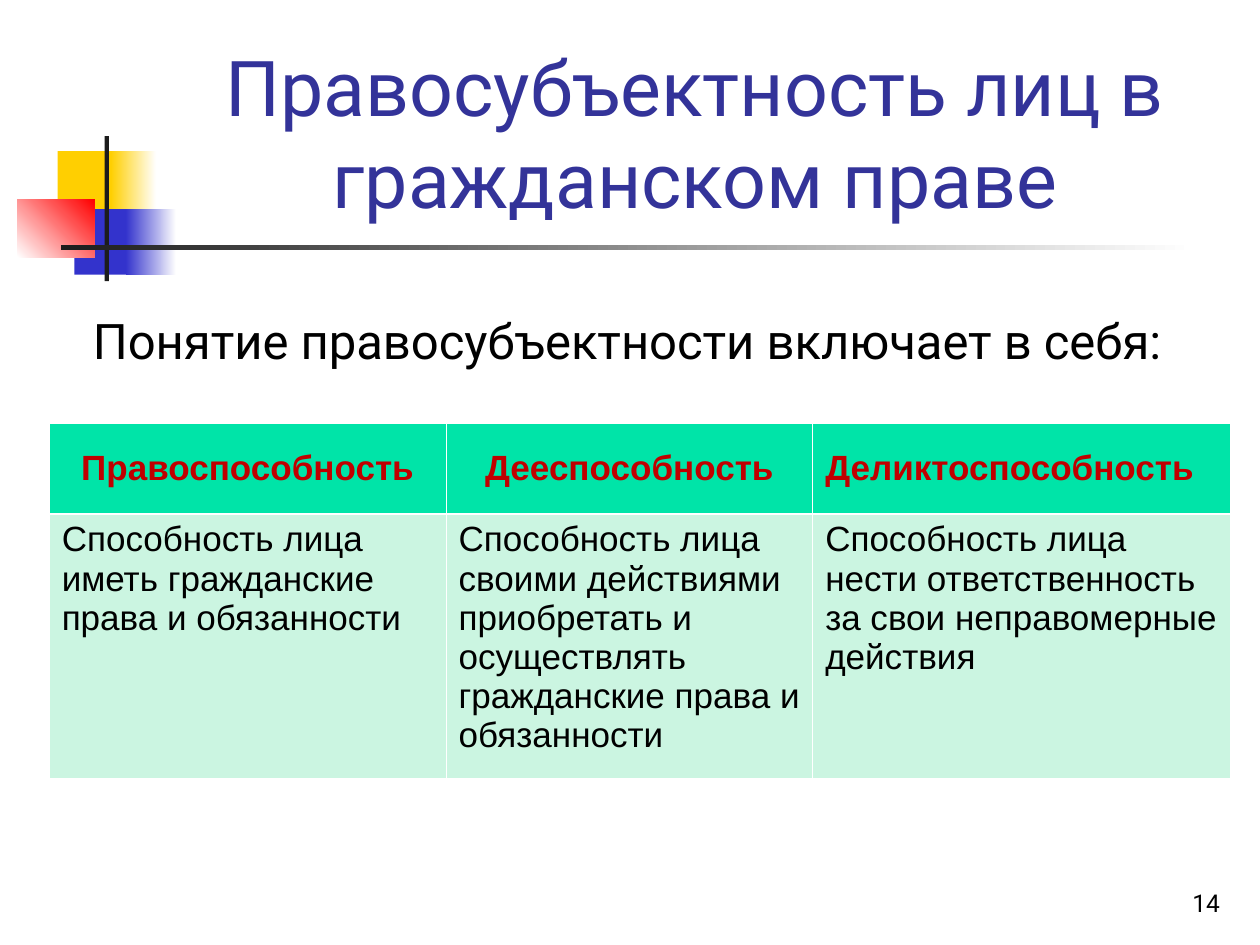
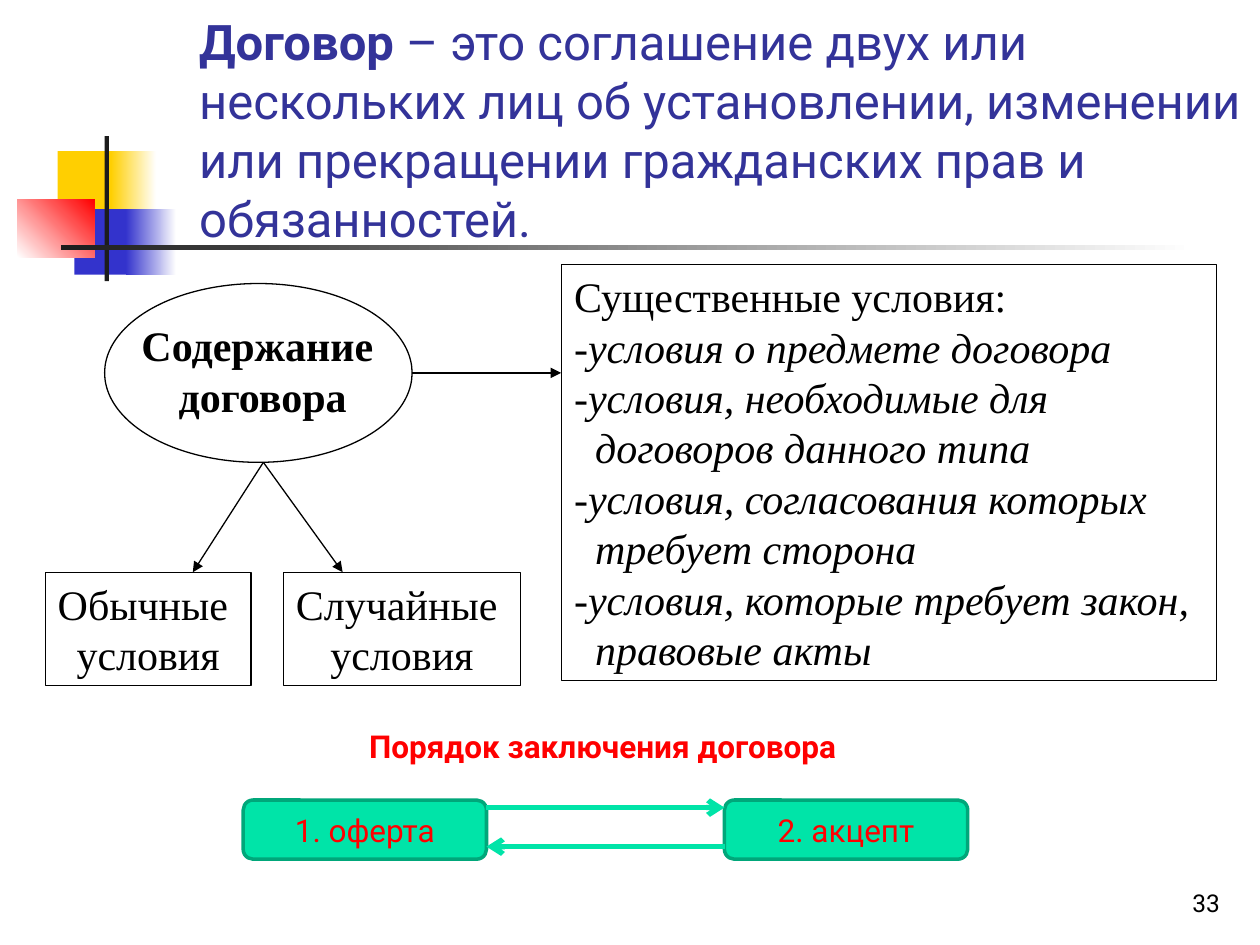
from dataclasses import dataclass

from lxml import etree
from pptx import Presentation
from pptx.dml.color import RGBColor
from pptx.enum import shapes, text
from pptx.oxml import ns
from pptx.util import Pt


@dataclass(frozen=True)
class Theme:
    sans: str = "Roboto"
    serif: str = "Times New Roman"
    table_font: str = "Arial"
    title: str = "333399"
    ink: str = "000000"
    white: str = "FFFFFF"
    dark: str = "1C1C1C"
    yellow: str = "FFCF01"
    blue: str = "3333CC"
    red: str = "FF0000"
    header_text: str = "C00000"
    green: str = "00E4A8"
    green_edge: str = "00A77A"
    mint: str = "CBF5E1"
    title_size: int = 44
    lead_size: int = 28
    diagram_size: int = 24
    table_size: int = 20
    step_size: int = 18
    number_size: int = 14


THEME = Theme()
SHAPE = shapes.MSO_SHAPE
ALIGN = text.PP_ALIGN
ANCHOR = text.MSO_ANCHOR

# Bands shared by all slides: place, start colour, end colour, angle
BANDS = [
    ((33, 86.4, 34.6, 37.4), THEME.yellow, None, 0),
    ((63.4, 86.4, 25.9, 37.4), THEME.yellow, THEME.white, 0),
    ((42.5, 119.5, 33, 37.4), THEME.blue, None, 0),
    ((72, 119.5, 28.8, 37.4), THEME.blue, THEME.white, 0),
    ((10, 113.8, 44, 33.2), THEME.white, THEME.red, 45),
    ((59.8, 77.8, 2.5, 82.8), THEME.dark, None, 0),
    ((34.6, 140.2, 648, 2.5), THEME.dark, THEME.white, 0),
]
NUMBER_PLACE = (554.4, 491.8, 149.8, 36)

CAPACITY_TITLE = "Правосубъектность лиц в гражданском праве"
CAPACITY_LEAD = "Понятие правосубъектности включает в себя:"
CAPACITY_TABLE = [  # width, heading, heading alignment, meaning
    (226.8, "Правоспособность", ALIGN.CENTER,
     "Способность лица иметь гражданские права и обязанности"),
    (209.5, "Дееспособность", ALIGN.CENTER,
     "Способность лица своими действиями приобретать и осуществлять "
     "гражданские права и обязанности"),
    (238.5, "Деликтоспособность", ALIGN.LEFT,
     "Способность лица нести ответственность за свои неправомерные действия"),
]
ROW_HEIGHTS = (51.8, 151.2)

CONTRACT_TERM = "Договор"
CONTRACT_MEANING = (" – это соглашение двух или нескольких лиц об установлении, "
                    "изменении или прекращении гражданских прав и обязанностей.")
CONTENT_LABEL = ["Содержание ", "договора"]
ESSENTIAL_HEADING = "Существенные условия:"
ESSENTIAL_TERMS = [
    ["-условия о предмете договора"],
    ["-условия, необходимые для", "договоров данного типа"],
    ["-условия, согласования которых", "требует сторона"],
    ["-условия, которые требует закон,", "правовые акты"],
]
OTHER_TERMS = [
    (["Обычные ", "условия"], (26, 327, 117.4, 64.8)),
    (["Случайные ", "условия"], (162, 327, 135.4, 64.8)),
]
ORDER_HEADING = "Порядок заключения договора"
STEPS = ["1. оферта", "2. акцепт"]
STEP_LEFT, STEP_TOP, STEP_WIDTH, STEP_HEIGHT, STEP_PITCH = 139, 457.2, 139, 33.8, 275


def rgb(value):
    return RGBColor.from_string(value)


def points(values):
    return [Pt(value) for value in values]


def add_span(para, words, size, color, font=THEME.sans, bold=False, italic=False):
    span = para.add_run()
    span.text = words
    span.font.name = font
    span.font.size = Pt(size)
    span.font.color.rgb = rgb(color)
    span.font.bold = bold
    span.font.italic = italic


def add_paras(frame, lines, align=ALIGN.LEFT, **style):
    for index, line in enumerate(lines):
        para = frame.add_paragraph() if index else frame.paragraphs[0]
        para.alignment = align
        add_span(para, line, **style)


def add_text(page, place, lines, wrap=False, anchor=ANCHOR.TOP, **style):
    box = page.shapes.add_textbox(*points(place))
    box.text_frame.word_wrap = wrap
    box.text_frame.vertical_anchor = anchor
    add_paras(box.text_frame, lines, **style)


def add_panel(page, kind, place, fill=None, line=None, width=0.75):
    panel = page.shapes.add_shape(kind, *points(place))
    panel.shadow.inherit = False
    if fill:
        panel.fill.solid()
        panel.fill.fore_color.rgb = rgb(fill)
    else:
        panel.fill.background()
    if line:
        panel.line.color.rgb = rgb(line)
        panel.line.width = Pt(width)
    else:
        panel.line.fill.background()
    panel.text_frame.word_wrap = False
    panel.text_frame.vertical_anchor = ANCHOR.TOP
    return panel


def add_arrow(page, start, end, color=THEME.ink, width=0.75, head="triangle"):
    arrow = page.shapes.add_connector(
        shapes.MSO_CONNECTOR.STRAIGHT, *points(start + end))
    arrow.line.color.rgb = rgb(color)
    arrow.line.width = Pt(width)
    etree.SubElement(arrow.line._get_or_add_ln(), ns.qn("a:tailEnd"), type=head)
    etree.SubElement(arrow.element.spPr, ns.qn("a:effectLst"))


def move_bands_to_layout(page, layout):
    """Draw the bands on a page, then hand them to its layout."""
    for place, start, end, angle in BANDS:
        band = add_panel(page, SHAPE.RECTANGLE, place, fill=start)
        if end:
            band.fill.gradient()
            band.fill.gradient_angle = angle
            for stop, color in zip(band.fill.gradient_stops, (start, end)):
                stop.color.rgb = rgb(color)
        layout.shapes.element.append(band.element)


def set_title(page, place, spans, size, align=ALIGN.LEFT):
    title = page.shapes.title
    title.left, title.top, title.width, title.height = points(place)
    frame = title.text_frame
    frame.word_wrap = True
    frame.auto_size = text.MSO_AUTO_SIZE.NONE
    frame.vertical_anchor = ANCHOR.BOTTOM
    frame.paragraphs[0].alignment = align
    for words, bold in spans:
        add_span(frame.paragraphs[0], words, size, THEME.title, bold=bold)


def add_number(page, number):
    add_text(page, NUMBER_PLACE, [str(number)], wrap=True, anchor=ANCHOR.BOTTOM,
             align=ALIGN.RIGHT, size=THEME.number_size, color=THEME.ink)


def set_borders(cell, widths):
    """Give a cell white borders; widths maps side letters to points."""
    props = cell._tc.get_or_add_tcPr()
    for side in "LRTB":
        line = etree.SubElement(props, ns.qn(f"a:ln{side}"), w=str(int(Pt(widths[side]))))
        fill = etree.SubElement(line, ns.qn("a:solidFill"))
        etree.SubElement(fill, ns.qn("a:srgbClr"), val=THEME.white)


def fill_cell(cell, words, fill, rule_side, anchor, **style):
    set_borders(cell, dict.fromkeys("LRTB", 0.45) | {rule_side: 1.47})
    cell.fill.solid()
    cell.fill.fore_color.rgb = rgb(fill)
    cell.vertical_anchor = anchor
    add_paras(cell.text_frame, [words], size=THEME.table_size,
              font=THEME.table_font, **style)


def build_capacity_slide(page):
    set_title(page, (90.7, 16.6, 613.4, 115.2), [(CAPACITY_TITLE, False)],
              THEME.title_size, ALIGN.CENTER)
    total = sum(column[0] for column in CAPACITY_TABLE)
    table = page.shapes.add_table(
        2, len(CAPACITY_TABLE),
        *points((28.1, 241.9, total, sum(ROW_HEIGHTS)))).table
    table.first_row = table.horz_banding = False
    for row, height in zip(table.rows, ROW_HEIGHTS):
        row.height = Pt(height)
    for index, (width, heading, align, meaning) in enumerate(CAPACITY_TABLE):
        table.columns[index].width = Pt(width)
        fill_cell(table.cell(0, index), heading, THEME.green, "B", ANCHOR.MIDDLE,
                  align=align, color=THEME.header_text, bold=True)
        fill_cell(table.cell(1, index), meaning, THEME.mint, "T", ANCHOR.TOP,
                  color=THEME.ink)
    add_number(page, 14)
    add_text(page, (46, 174.2, 649.4, 41), [CAPACITY_LEAD],
             size=THEME.lead_size, color=THEME.ink)


def add_essential_terms(page, style):
    panel = add_panel(page, SHAPE.RECTANGLE, (321, 151.2, 374.4, 237.6), line=THEME.ink)
    frame = panel.text_frame
    add_paras(frame, [ESSENTIAL_HEADING], **style)
    for term in ESSENTIAL_TERMS:
        para = frame.add_paragraph()
        para.alignment = ALIGN.LEFT
        props = para._p.get_or_add_pPr()
        props.set("marL", str(int(Pt(12))))
        props.set("indent", str(int(Pt(-12))))
        for index, line in enumerate(term):
            if index:
                para.add_line_break()
            add_span(para, line, italic=True, **style)


def add_steps(page):
    add_text(page, (203.8, 411.8, 309.6, 28.8), [ORDER_HEADING],
             size=THEME.step_size, color=THEME.red, bold=True)
    for index, step in enumerate(STEPS):
        place = (STEP_LEFT + index * STEP_PITCH, STEP_TOP, STEP_WIDTH, STEP_HEIGHT)
        panel = add_panel(page, SHAPE.ROUNDED_RECTANGLE, place,
                          THEME.green, THEME.green_edge, 2)
        panel.text_frame.word_wrap = True
        panel.text_frame.vertical_anchor = ANCHOR.MIDDLE
        add_paras(panel.text_frame, [step], ALIGN.CENTER,
                  size=THEME.step_size, color=THEME.red)
    offer_edge, acceptance_edge = STEP_LEFT + STEP_WIDTH, STEP_LEFT + STEP_PITCH
    for start, end, y in ((offer_edge, acceptance_edge, 461.5),
                          (acceptance_edge, offer_edge, 483.8)):
        add_arrow(page, (start, y), (end, y), THEME.green, 3, "arrow")


def build_contract_slide(page):
    serif = dict(size=THEME.diagram_size, color=THEME.ink, font=THEME.serif)
    add_number(page, 33)
    set_title(page, (106.6, 9.4, 613.4, 135.4),
              [(CONTRACT_TERM, True), (CONTRACT_MEANING, False)], THEME.lead_size)
    add_essential_terms(page, serif)
    for lines, place in OTHER_TERMS:
        panel = add_panel(page, SHAPE.RECTANGLE, place, line=THEME.ink)
        add_paras(panel.text_frame, lines, ALIGN.CENTER, **serif)
    add_arrow(page, (235.5, 213.1), (320.6, 213.1))
    for end_x in (110.2, 195.8):
        add_arrow(page, (150.5, 264.2), (end_x, 327))
    add_panel(page, SHAPE.OVAL, (59.8, 162, 175.7, 102.2), line=THEME.ink)
    add_text(page, (73.4, 179.3, 153.4, 64.8), CONTENT_LABEL,
             align=ALIGN.CENTER, bold=True, **serif)
    add_steps(page)


def main():
    deck = Presentation()
    deck.slide_width, deck.slide_height = points((720, 540))
    layout = deck.slide_layouts.get_by_name("Title Only")
    capacity_page, contract_page = (deck.slides.add_slide(layout) for _ in range(2))
    move_bands_to_layout(capacity_page, layout)
    build_capacity_slide(capacity_page)
    build_contract_slide(contract_page)
    deck.save("out.pptx")


if __name__ == "__main__":
    main()
